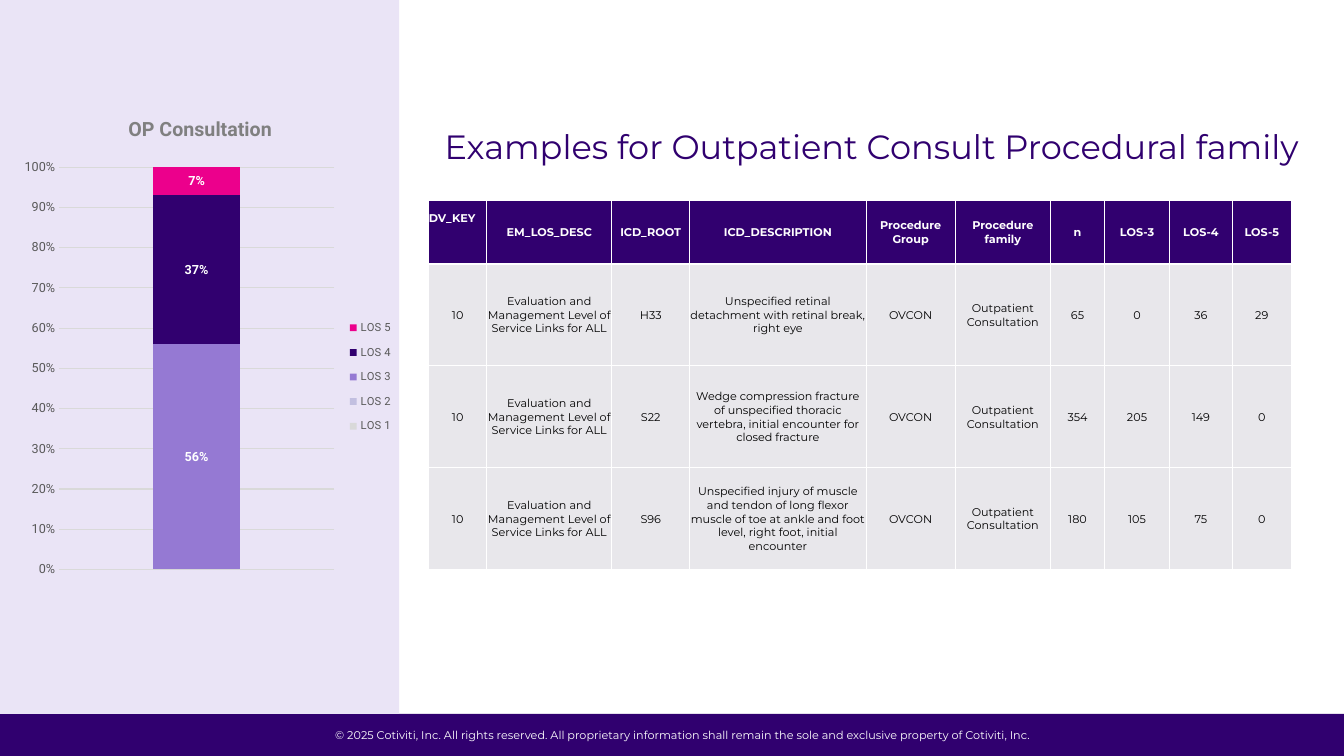
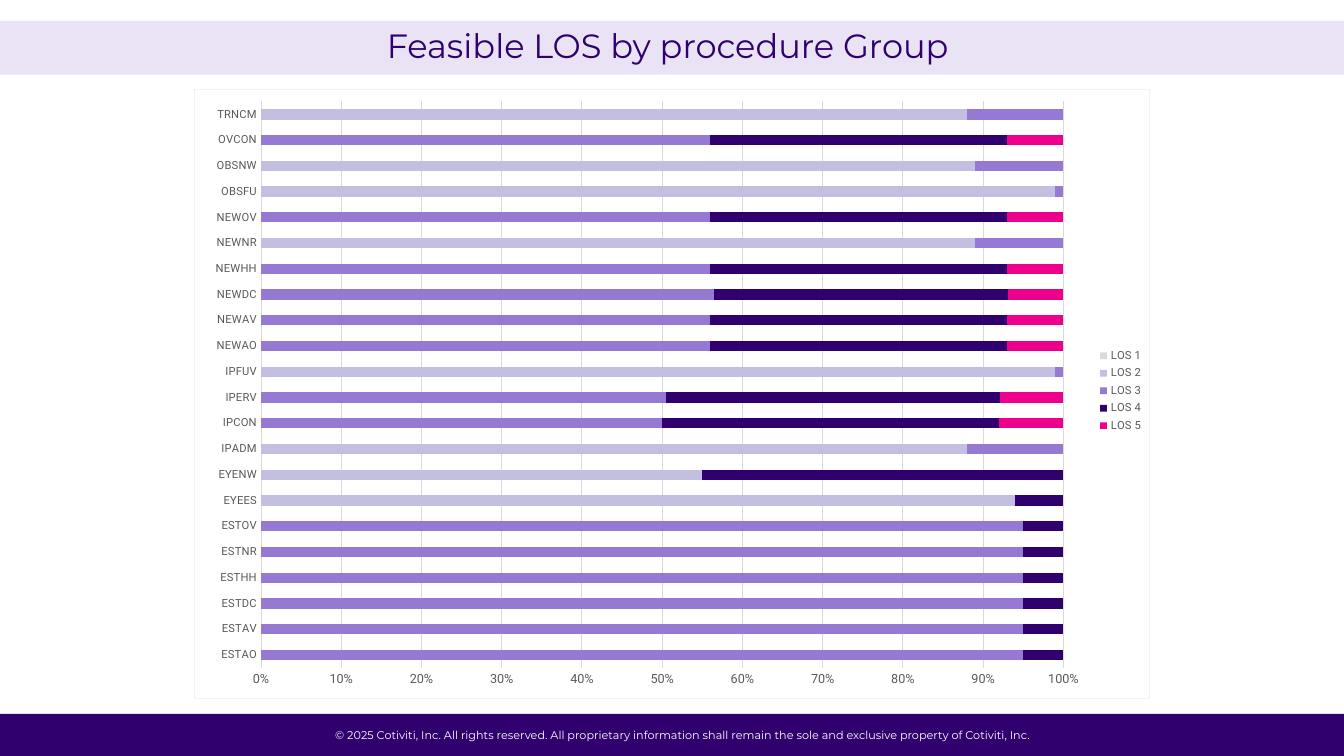
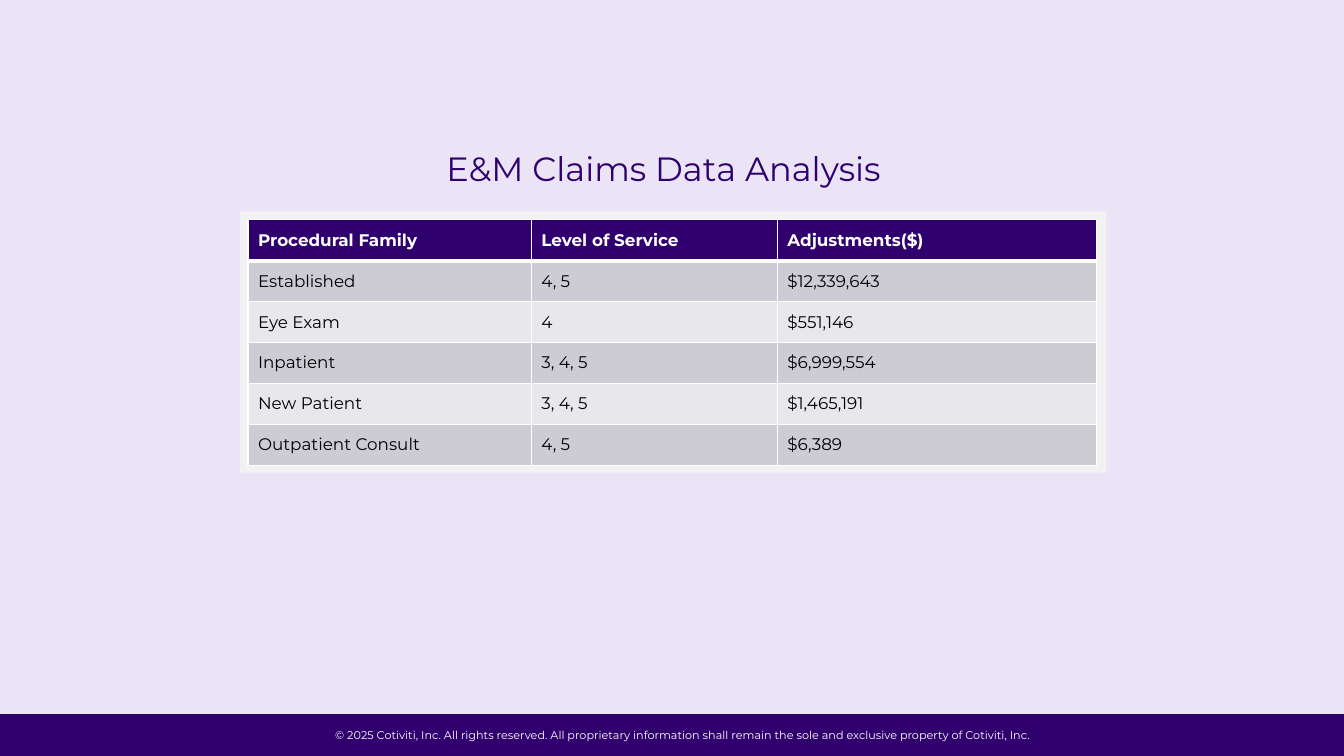
from lxml.etree import SubElement
from pptx import Presentation
from pptx.chart.data import CategoryChartData
from pptx.dml.color import RGBColor
from pptx.enum.chart import (XL_CHART_TYPE, XL_LABEL_POSITION,
                             XL_LEGEND_POSITION, XL_TICK_MARK)
from pptx.enum.shapes import MSO_SHAPE
from pptx.enum.text import MSO_ANCHOR, MSO_AUTO_SIZE, PP_ALIGN
from pptx.oxml import parse_xml
from pptx.oxml.ns import nsdecls, qn
from pptx.util import Cm, Pt

HUES = {
    "brand": "30006F", "deep": "31006F", "panel": "EAE4F6", "strip": "E9E3F5",
    "white": "FFFFFF", "black": "000000", "head": "FEFEFE", "frame": "F2F2F2",
    "row": "E8E7EB", "band": "CDCCD5", "grid": "D9D9D9", "axis": "595959",
    "gray": "808080", "lilac": "C2BFE0", "violet": "9579D3", "pink": "EC008C",
}
LEVELS = ["grid", "lilac", "violet", "deep", "pink"]
SANS, LABEL = "Montserrat", "Roboto"
WIDE, HIGH, FOOT = 33.87, 19.05, 17.99
TITLE_H = 0.94
RIGHTS = ("© 2025 Cotiviti, Inc. All rights reserved. All proprietary information "
          "shall remain the sole and exclusive property of Cotiviti, Inc.")


def hue(name):
    return RGBColor.from_string(HUES[name])


def span(box):
    return [Cm(v) for v in box]


def style(font, size, color, face=SANS, bold=False):
    font.size, font.name, font.bold = Pt(size), face, bold
    font.color.rgb = hue(color)


def write(frame, text, size, color, face=SANS, bold=False, align=PP_ALIGN.CENTER):
    para = frame.paragraphs[0]
    para.alignment = align
    for i, line in enumerate(text.split("\n")):
        if i:
            para.add_line_break()
        run = para.add_run()
        run.text = line
        style(run.font, size, color, face, bold)
    return para


# Shared parts
def block(slide, box, color):
    shape = slide.shapes.add_shape(MSO_SHAPE.RECTANGLE, *span(box))
    shape.shadow.inherit = False
    shape.fill.solid()
    shape.fill.fore_color.rgb = hue(color)
    shape.line.fill.background()
    return shape


def label(slide, box, *args, **opts):
    shape = slide.shapes.add_textbox(*span(box))
    shape.text_frame.word_wrap = False
    write(shape.text_frame, *args, **opts)
    return shape


def title(slide, box, text, align=PP_ALIGN.CENTER):
    shape = slide.shapes.title
    shape.left, shape.top, shape.width, shape.height = span(box)
    frame = shape.text_frame
    frame.auto_size = MSO_AUTO_SIZE.NONE
    frame.vertical_anchor = MSO_ANCHOR.MIDDLE
    frame.margin_left = frame.margin_right = 0
    frame.margin_top = frame.margin_bottom = 0
    write(frame, text, 24, "brand", align=align).line_spacing = 0.9
    slide.shapes.element.append(shape.element)  # bring above the panels


def footer(deck, slide):
    """Build the footer band, then hand it to the master."""
    band = block(slide, (0, FOOT, WIDE, HIGH - FOOT), "brand")
    text = label(slide, (8.15, 18.24, 18.14, 0.61), RIGHTS, 8, "white")
    for num, shape in enumerate((band, text), 100):
        shape.element.nvSpPr.cNvPr.set("id", str(num))
        deck.slide_master.shapes.element.append(shape.element)


# Tables
def edges(cell, base=1):
    props = cell._tc.get_or_add_tcPr()
    for i, side in enumerate("LRTB"):
        width = Pt(base if side == "B" else 1)
        props.insert(i, parse_xml(
            f'<a:ln{side} {nsdecls("a")} w="{width}"><a:solidFill>'
            f'<a:srgbClr val="{HUES["white"]}"/></a:solidFill></a:ln{side}>'))


def grid(slide, spot, cols, tall, rows, paint):
    """Add a table at spot; paint(cell, row, col, text) writes each cell."""
    box = (*spot, sum(cols), sum(tall))
    table = slide.shapes.add_table(len(rows), len(cols), *span(box)).table
    table.first_row = table.horz_banding = False
    for col, width in zip(table.columns, cols):
        col.width = Cm(width)
    for row, height in zip(table.rows, tall):
        row.height = Cm(height)
    for r, row in enumerate(rows):
        for c, text in enumerate(row):
            cell = table.cell(r, c)
            cell.vertical_anchor = MSO_ANCHOR.MIDDLE
            cell.fill.solid()
            paint(cell, r, c, text)


def case(cell, r, c, text):
    cell.margin_left = cell.margin_right = cell.margin_top = Cm(0.01)
    cell.margin_bottom = 0
    cell.fill.fore_color.rgb = hue("row" if r else "deep")
    corner = r == c == 0
    if corner:
        cell.vertical_anchor = MSO_ANCHOR.TOP
        cell.margin_top = Cm(0.28)
    write(cell.text_frame, text, 8, "black" if r else "head", bold=r == 0,
          align=PP_ALIGN.LEFT if corner else PP_ALIGN.CENTER)
    edges(cell)


def claim(cell, r, c, text):
    fill = ("band" if r % 2 else "row") if r else "brand"
    cell.fill.fore_color.rgb = hue(fill)
    write(cell.text_frame, text, 12, "black" if r else "white", bold=r == 0,
          align=PP_ALIGN.LEFT)
    edges(cell, 1 if r else 3)


# Charts
def place(host, spot, inner=False):
    """Fix the plot or legend at x, y, w, h as shares of the chart."""
    for old in host.findall(qn("c:layout")):
        host.remove(old)
    layout = parse_xml(f'<c:layout {nsdecls("c")}><c:manualLayout/></c:layout>')
    pairs = [("layoutTarget", "inner")] if inner else []
    pairs += [("xMode", "edge"), ("yMode", "edge"), *zip("xywh", spot)]
    for tag, val in pairs:
        SubElement(layout[0], qn("c:" + tag)).set("val", str(val))
    if inner:
        host.insert(0, layout)
    else:
        host.find(qn("c:legendPos")).addnext(layout)


def stack(slide, box, kind, cats, series, gap, plot, key, edge=None):
    data = CategoryChartData()
    data.categories = cats
    for i, vals in enumerate(series, 1):
        data.add_series(f"LOS {i}", vals)
    chart = slide.shapes.add_chart(kind, *span(box), data).chart
    chart.has_title = False
    style(chart.font, 10, "black")
    line = (f'<a:solidFill><a:srgbClr val="{HUES[edge]}"/></a:solidFill>'
            if edge else "<a:noFill/>")
    chart._chartSpace.find(qn("c:chart")).addnext(parse_xml(
        f'<c:spPr {nsdecls("c", "a")}><a:noFill/>'
        f'<a:ln w="{Pt(0.75)}">{line}</a:ln></c:spPr>'))
    bars = chart.plots[0]
    bars.gap_width, bars.overlap, bars.vary_by_categories = gap, 100, False
    for item, color in zip(bars.series, LEVELS):
        item.format.fill.solid()
        item.format.fill.fore_color.rgb = hue(color)
    # Axes
    axis = chart.value_axis
    axis.major_tick_mark = axis.minor_tick_mark = XL_TICK_MARK.NONE
    axis.format.line.fill.background()
    axis.has_major_gridlines = True
    axis.tick_labels.number_format = "0%"
    axis.tick_labels.number_format_is_linked = False
    style(axis.tick_labels.font, 9, "axis", LABEL)
    names = chart.category_axis
    names.major_tick_mark = names.minor_tick_mark = XL_TICK_MARK.NONE
    style(names.tick_labels.font, 8, "axis", LABEL)
    for rule in (axis.major_gridlines.format.line, names.format.line):
        rule.color.rgb, rule.width = hue("grid"), Pt(0.75)
    # Legend
    chart.has_legend = True
    chart.legend.position = XL_LEGEND_POSITION.RIGHT
    chart.legend.include_in_layout = False
    style(chart.legend.font, 8, "axis", LABEL)
    place(chart._chartSpace.chart.plotArea, plot, inner=True)
    place(chart.legend._element, key)
    return chart


# Slides
CASES = [
    ["DV_KEY", "EM_LOS_DESC", "ICD_ROOT", "ICD_DESCRIPTION", "Procedure\nGroup",
     "Procedure\nfamily", "n", "LOS-3", "LOS-4", "LOS-5"],
] + [
    ["10", "Evaluation and Management Level of Service Links for ALL", root, text,
     "OVCON", "Outpatient Consultation", *nums.split()]
    for root, text, nums in [
        ("H33", "Unspecified retinal detachment with retinal break, right eye",
         "65 0 36 29"),
        ("S22", "Wedge compression fracture of unspecified thoracic vertebra, "
         "initial encounter for closed fracture", "354 205 149 0"),
        ("S96", "Unspecified injury of muscle and tendon of long flexor muscle of "
         "toe at ankle and foot level, right foot, initial encounter",
         "180 105 75 0"),
    ]
]
CLAIMS = [
    ["Procedural Family", "Level of Service", "Adjustments($)"],
    ["Established", "4, 5", "$12,339,643"],
    ["Eye Exam", "4", "$551,146"],
    ["Inpatient", "3, 4, 5", "$6,999,554"],
    ["New Patient", "3, 4, 5", "$1,465,191"],
    ["Outpatient Consult", "4, 5", "$6,389"],
]
GROUPS = ("ESTAO ESTAV ESTDC ESTHH ESTNR ESTOV EYEES EYENW IPADM IPCON IPERV IPFUV "
          "NEWAO NEWAV NEWDC NEWHH NEWNR NEWOV OBSFU OBSNW OVCON TRNCM").split()
SHARES = [
    [0] * 22,
    [0, 0, 0, 0, 0, 0, 94, 55, 88, 0, 0, 99, 0, 0, 0, 0, 89, 0, 99, 89, 0, 88],
    [95, 95, 95, 95, 95, 95, 0, 0, 12, 50, 51, 1, 56, 56, 57, 56, 11, 56, 1, 11,
     56, 12],
    [5, 5, 5, 5, 5, 5, 6, 45, 0, 42, 42, 0, 37, 37, 37, 37, 0, 37, 0, 0, 37, 0],
    [0, 0, 0, 0, 0, 0, 0, 0, 0, 8, 8, 0, 7, 7, 7, 7, 0, 7, 0, 0, 7, 0],
]


def side(slide, box):
    """Panel with a heading over one stacked column."""
    x, y, w, h = box
    block(slide, box, "panel")
    label(slide, (x + 1.63, y + 2.82, 6.83, 0.86), "OP Consultation", 14, "gray",
          LABEL, True)
    chart = stack(slide, (x + 0.43, y + 3.78, w - 0.43, 10.9),
                  XL_CHART_TYPE.COLUMN_STACKED_100, ["1"],
                  [[0], [0], [0.56], [0.37], [0.07]], 219,
                  (0.11, 0.04, 0.72, 0.93), (0.85, 0.37, 0.15, 0.31))
    chart.category_axis.visible = False
    for item in list(chart.plots[0].series)[2:]:
        tags = item.data_labels
        tags.show_value = True
        tags.number_format, tags.number_format_is_linked = "0%", False
        tags.position = XL_LABEL_POSITION.CENTER
        style(tags.font, 9, "white", LABEL, True)


def sample(slide, box):
    """Title over the table of examples."""
    x, y, w, h = box
    title(slide, (x, y + 3.28, w, TITLE_H),
          "Examples for Outpatient Consult Procedural family")
    grid(slide, (x + 0.74, y + 5.05),
         [1.47, 3.15, 1.96, 4.45, 2.24, 2.41, 1.35, 1.65, 1.57, 1.5],
         [1.6] + [2.57] * 3, CASES, case)


def levels(slide, box):
    """Title strip over a wide bar chart."""
    x, y, w, h = box
    block(slide, (x, y + 0.53, w, 1.35), "strip")
    title(slide, (x + 3.31, y + 0.74, 27.03, TITLE_H),
          "Feasible LOS by procedure Group")
    stack(slide, (x + 4.88, y + 2.24, 24.1, 15.37),
          XL_CHART_TYPE.BAR_STACKED_100, GROUPS, SHARES, 150,
          (0.07, 0.02, 0.84, 0.93), (0.94, 0.42, 0.06, 0.15), "frame")


def claims(slide, box):
    """Full panel with a framed table."""
    x, y, w, h = box
    block(slide, box, "panel")
    block(slide, (x + 6.05, y + 5.33, 21.82, 6.58), "frame")
    grid(slide, (x + 6.25, y + 5.54), [7.14, 6.2, 8.05], [1.03] * 6, CLAIMS, claim)
    title(slide, (x + 11.25, y + 3.84, 11.35, TITLE_H),
          "E&M Claims Data Analysis", PP_ALIGN.LEFT)


def main():
    deck = Presentation()
    deck.slide_width, deck.slide_height = Cm(WIDE), Cm(HIGH)
    first, second, third = [deck.slides.add_slide(deck.slide_layouts[5])
                            for _ in range(3)]
    footer(deck, first)
    split = 10.06
    side(first, (0, 0, split, FOOT))
    sample(first, (split, 0, WIDE - split, FOOT))
    levels(second, (0, 0, WIDE, FOOT))
    claims(third, (0, 0, WIDE, FOOT))
    deck.save("out.pptx")


if __name__ == "__main__":
    main()
